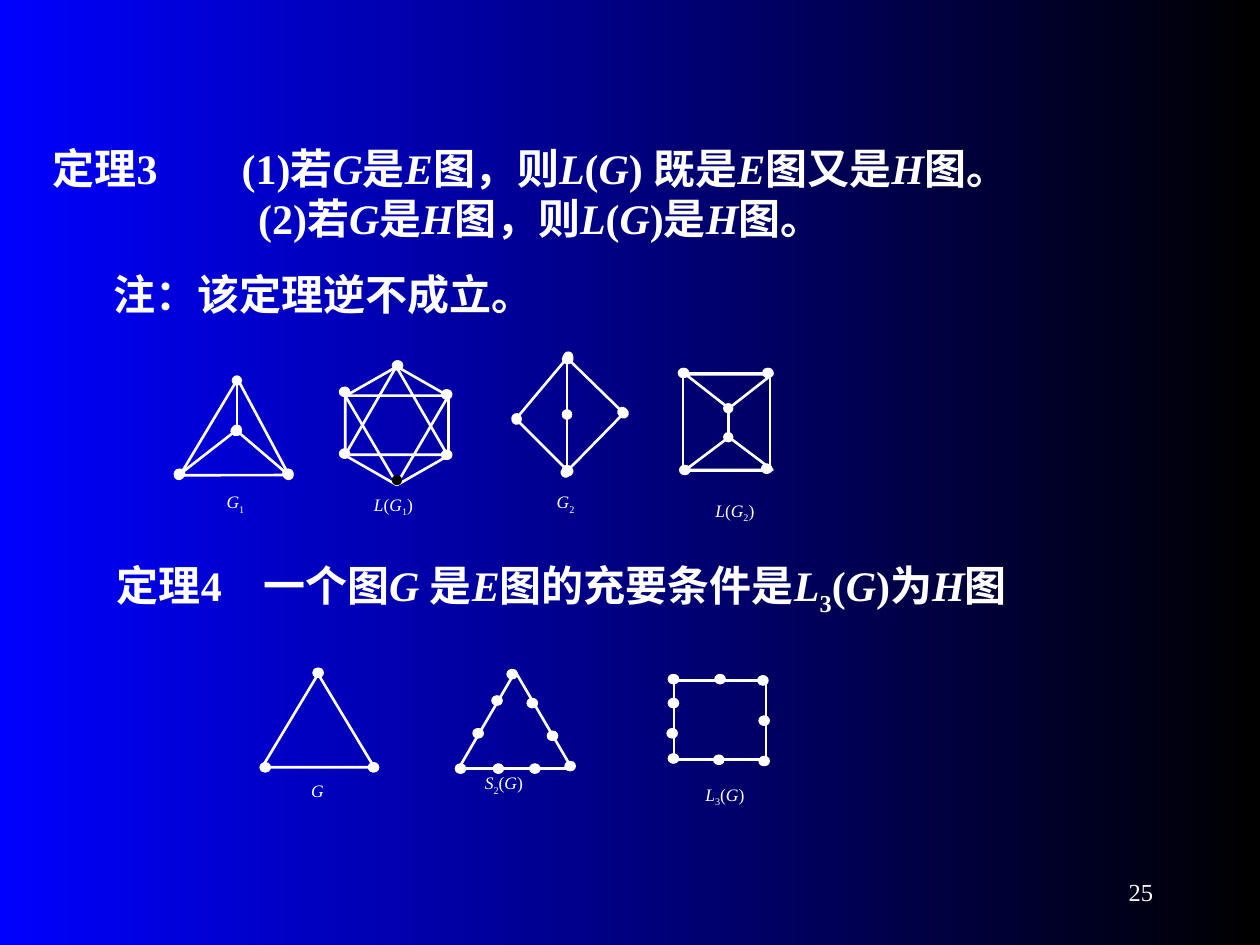
import pptx
import pptx.dml.color
import pptx.enum.shapes
import pptx.enum.text
import pptx.oxml
import pptx.oxml.ns
import pptx.util

Inches, Pt = pptx.util.Inches, pptx.util.Pt
Kind = pptx.enum.shapes.MSO_SHAPE
Line = pptx.enum.shapes.MSO_CONNECTOR
Anchor = pptx.enum.text.MSO_ANCHOR
Align = pptx.enum.text.PP_ALIGN
Fit = pptx.enum.text.MSO_AUTO_SIZE
RGB = pptx.dml.color.RGBColor
WHITE, BLACK, BLUE = RGB(255, 255, 255), RGB(0, 0, 0), RGB(0, 0, 255)
NS = 'xmlns:a="http://schemas.openxmlformats.org/drawingml/2006/main"'
FONT = "Times New Roman"

# fmt: off
BIG = {"size": Pt(24), "bold": True}
SMALL = {"size": Pt(10)}
TEXTS = [
    ((0.32, 1.08, 8.77, 0.9), Anchor.MIDDLE, [
        ("定理3\t(1)若*G*是*E*图，则*L*(*G*) 既是*E*图又是*H*图。", {"tab": 1.5}),
        ("(2)若*G*是*H*图，则*L*(*G*)是*H*图。", {"left": 1.63})]),
    ((0.42, 2.08, 8.75, 0.5), Anchor.TOP, [
        ("注：该定理逆不成立。", {"left": 0.38, "before": 15})]),
    ((0.83, 4.19, 7.67, 0.96), Anchor.MIDDLE, [
        ("定理4\t一个图*G *是*E*图的充要条件是*L*_3_(*G*)为*H*图", {"tab": 1.16})]),
]
TOP = {
    "shapes": [
        (Kind.ISOSCELES_TRIANGLE, (1.53, 3.21, 0.89, 0.74), 120.9),
        (Kind.HEXAGON, (2.68, 2.97, 0.94, 0.82), 90),
        (Kind.ISOSCELES_TRIANGLE, (2.74, 2.91, 0.81, 0.7), 0),
        (Kind.ISOSCELES_TRIANGLE, (2.74, 3.14, 0.82, 0.7), 180),
        (Kind.RECTANGLE, (5.42, 2.96, 0.69, 0.78), 0),
        (Kind.ISOSCELES_TRIANGLE, (5.44, 3.47, 0.69, 0.26), 0),
        (Kind.ISOSCELES_TRIANGLE, (5.44, 2.97, 0.69, 0.27), 180),
    ],
    "edges": [
        (1.88, 3.02, 1.88, 3.41), (1.87, 3.42, 1.42, 3.77), (1.88, 3.42, 2.29, 3.77),
        (4.5, 3.29, 4.5, 2.85), (4.51, 2.85, 4.94, 3.27), (4.51, 2.83, 4.1, 3.32),
        (4.5, 3.29, 4.5, 3.73), (4.1, 3.33, 4.51, 3.74), (4.95, 3.28, 4.49, 3.75),
        (5.78, 3.24, 5.78, 3.47),
    ],
    "dots": [
        (1.42, 3.76), (2.28, 3.76),
        (3.54, 3.13), (3.15, 2.9), (3.54, 3.61), (2.73, 3.6), (2.73, 3.11),
        (5.42, 2.96), (6.09, 2.96), (5.43, 3.73), (6.08, 3.72),
    ],
    "black": [(3.14, 3.81)],
    "labels": [
        ("*G*_1_", (1.7, 3.85, 0.46, 0.29)), ("*L*(*G*_1_)", (2.87, 3.87, 0.67, 0.35)),
        ("*G*_2_", (4.32, 3.85, 0.44, 0.27)), ("*L*(*G*_2_)", (5.58, 3.92, 0.64, 0.36)),
    ],
}
BASE = {
    "shapes": [
        (Kind.ISOSCELES_TRIANGLE, (2.08, 5.35, 0.89, 0.74), 0),
        (Kind.ISOSCELES_TRIANGLE, (3.64, 5.33, 0.9, 0.77), 0),
        (Kind.RECTANGLE, (5.35, 5.4, 0.73, 0.63), 0),
    ],
    "edges": [],
    "dots": [
        (2.52, 5.34), (2.1, 6.09), (2.96, 6.09),
        (3.65, 6.1), (4.06, 5.35), (3.94, 5.56), (4.52, 6.08), (4.38, 5.84),
        (4.22, 5.58), (3.79, 5.82), (4.24, 6.1), (3.95, 6.1),
        (5.34, 6.02), (5.33, 5.82), (5.34, 5.58), (5.34, 5.39), (6.05, 5.4),
        (5.71, 5.39), (5.7, 6.03), (6.06, 6.04), (6.06, 5.72),
    ],
    "black": [],
    "labels": [
        ("*G*", (2.37, 6.14, 0.35, 0.28)), ("*S*_2_(*G*)", (3.75, 6.08, 0.74, 0.35)),
        ("*L*_3_(*G*)", (5.5, 6.17, 0.65, 0.31)),
    ],
}
# fmt: on


def add_xml(node, tag, attrs="", inner=""):
    node.append(pptx.oxml.parse_xml(f"<a:{tag} {NS} {attrs}>{inner}</a:{tag}>"))


def fill_runs(para, text, style):
    for i, part in enumerate(text.split("*")):
        for j, bit in enumerate(part.split("_")):
            if not bit:
                continue
            run = para.add_run()
            run.text = bit
            form = {"name": FONT, "italic": i % 2 == 1, **style}
            for key, value in form.items():
                setattr(run.font, key, value)
            run.font.color.rgb = WHITE
            if j % 2:
                run.font._element.set("baseline", "-25000")


def add_text(shapes, box, paras, style, anchor=Anchor.TOP, align=Align.LEFT, fit=Fit.NONE):
    frame = shapes.add_textbox(*map(Inches, box)).text_frame
    form = {"word_wrap": True, "vertical_anchor": anchor, "auto_size": fit}
    for key, value in form.items():
        setattr(frame, key, value)
    for n, (text, gaps) in enumerate(paras):
        para = frame.add_paragraph() if n else frame.paragraphs[0]
        para.alignment = align
        props = para._p.get_or_add_pPr()
        if "before" in gaps:
            para.space_before = Pt(gaps["before"])
        if "left" in gaps:
            props.set("marL", str(Inches(gaps["left"])))
        if "tab" in gaps:
            stop = f'<a:tab pos="{Inches(gaps["tab"])}" algn="l"/>'
            add_xml(props, "tabLst", inner=stop)
        fill_runs(para, text, style)


def add_edge(shapes, ends, color=WHITE, width=1.5, caps=("headEnd", "tailEnd")):
    edge = shapes.add_connector(Line.STRAIGHT, *map(Inches, ends))
    edge.line.color.rgb = color
    edge.line.width = Pt(width)
    props = edge._element.spPr
    for cap in caps:
        add_xml(props.find(pptx.oxml.ns.qn("a:ln")), cap, 'type="oval"')
    add_xml(props, "effectLst")


def add_graphs(slide, data):
    shapes = slide.shapes.add_group_shape().shapes
    for kind, box, turn in data["shapes"]:
        shape = shapes.add_shape(kind, *map(Inches, box))
        shape.rotation = turn
        shape.shadow.inherit = False
        shape.fill.background()
        shape.line.color.rgb = WHITE
        shape.line.width = Pt(1.5)
        if kind == Kind.HEXAGON:
            shape.adjustments[0] = 0.286
    for ends in data["edges"]:
        add_edge(shapes, ends)
    for x, y in data["dots"]:
        add_edge(shapes, (x, y, x + 0.01, y))
    for x, y in data["black"]:
        add_edge(shapes, (x, y, x + 0.01, y), BLACK, 0.75, ["tailEnd"])
    for text, box in data["labels"]:
        add_text(shapes, box, [(text, {})], SMALL)


def main():
    deck = pptx.Presentation()
    deck.slide_width, deck.slide_height = Inches(10), Inches(7.5)
    slide = deck.slides.add_slide(deck.slide_layouts[6])
    fill = slide.background.fill
    fill.gradient()
    fill.gradient_angle = 0
    for n, (stop, color) in enumerate(zip(fill.gradient_stops, (BLUE, BLACK))):
        stop.position = n
        stop.color.rgb = color
    add_text(slide.shapes, (7.17, 6.83, 2.08, 0.5), [("25", {})], {"size": Pt(14)},
             Anchor.MIDDLE, Align.RIGHT)
    for box, anchor, paras in TEXTS:
        add_text(slide.shapes, box, paras, BIG, anchor, fit=Fit.SHAPE_TO_FIT_TEXT)
    for data in (TOP, BASE):
        add_graphs(slide, data)
    deck.save("out.pptx")


if __name__ == "__main__":
    main()
